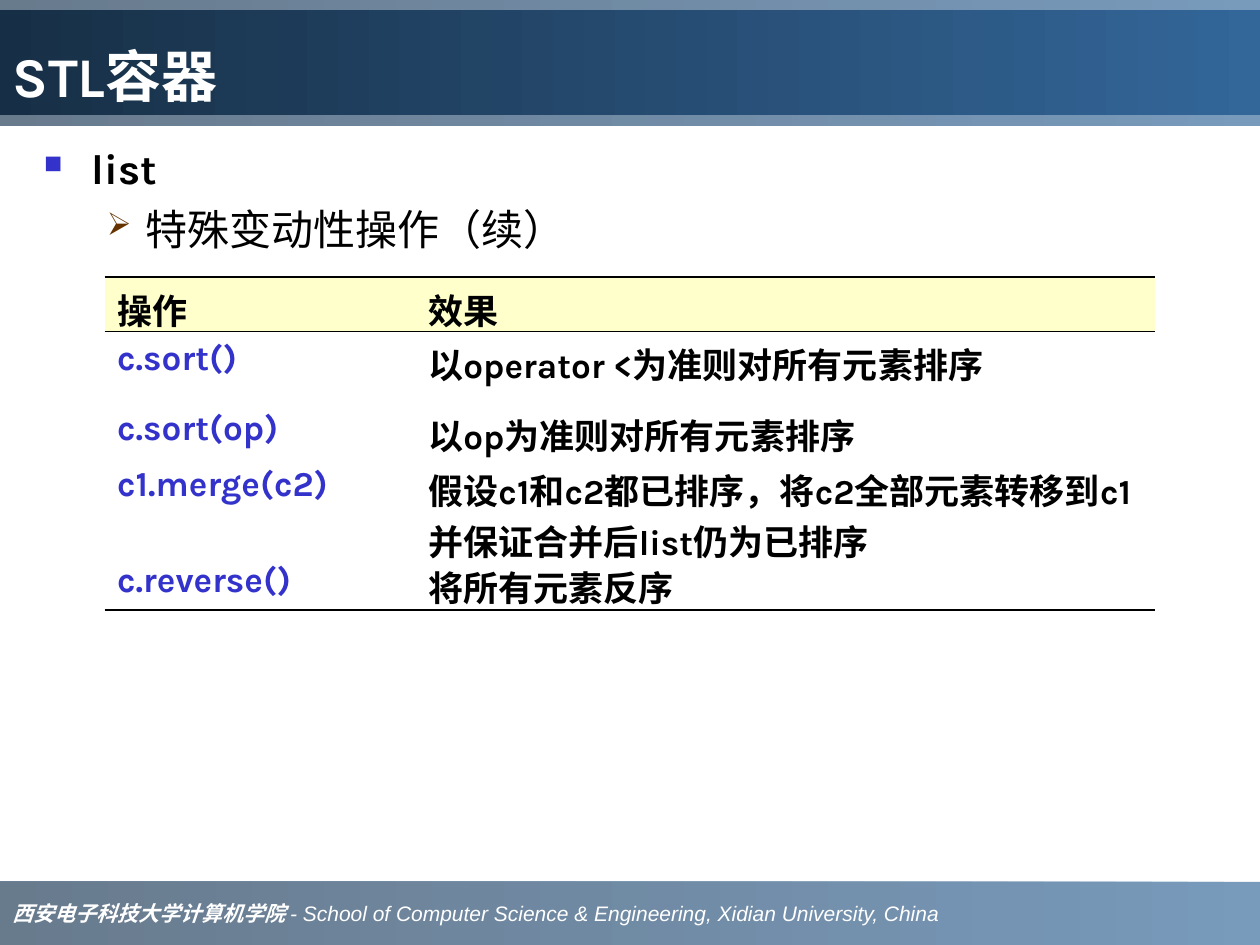
from lxml import etree
from pptx import Presentation, util as u
from pptx.dml.color import RGBColor
from pptx.enum import shapes, text
from pptx.oxml import ns

# Content
TITLE = "STL容器"
FOOTER = [
    ("西安电子科技大学计算机学院 ", "Times New Roman", True),
    ("- School of Computer Science & Engineering, Xidian University, China", "Arial", False),
]
# text, bold, left margin, hanging indent, bullet, bullet colour, bullet size %
OUTLINE = [
    ("list", True, 0.38, 0.38, "■", "blue", 60),
    ("特殊变动性操作（续）", False, 0.81, 0.31, "➢", "brown", 75),
]
ROWS = [
    ("操作", "效果"),
    ("c.sort()", "以operator <为准则对所有元素排序"),
    ("c.sort(op)", "以op为准则对所有元素排序"),
    ("c1.merge(c2)", "假设c1和c2都已排序，将c2全部元素转移到c1并保证合并后list仍为已排序"),
    ("c.reverse()", "将所有元素反序"),
]

# Style
COLORS = {
    "white": "FFFFFF", "black": "000000", "blue": "3333CC", "brown": "663300",
    "cream": "FFFFCC", "sky": "336699", "slate": "1B3753", "navy": "172F46",
}
FONT = "Karla"
WIDTH, HEIGHT = 10, 7.5
COLUMN_WIDTHS = [2.47, 5.87]
ROW_HEIGHTS = [0.35, 0.56, 0.44, 0.67, 0.44]
OUTER_RULE, INNER_RULE = 1.08, 0.75


def rgb(name):
    return RGBColor.from_string(COLORS[name])


def add_xml(parent, tag, **attributes):
    return etree.SubElement(parent, ns.qn(tag), attributes)


def style(span, size, color, bold, font=FONT, italic=False):
    span.font.size = u.Pt(size)
    span.font.name = font
    span.font.bold = bold
    span.font.italic = italic
    span.font.color.rgb = rgb(color)


def add_band(page, top, height, dark, opacity=None):
    """Full-width bar shading from dark on the left to sky on the right."""
    band = page.shapes.add_shape(
        shapes.MSO_SHAPE.RECTANGLE, 0, u.Inches(top), u.Inches(WIDTH), u.Inches(height))
    band.shadow.inherit = False
    band.line.fill.background()
    band.fill.gradient()
    band.fill.gradient_angle = 180
    for stop, color in zip(band.fill.gradient_stops, ("sky", dark)):
        stop.color.rgb = rgb(color)
    if opacity:
        for value in band._element.spPr.iter(ns.qn("a:srgbClr")):
            add_xml(value, "a:alpha", val=str(opacity * 1000))
    return band


def write_line(band, spans, anchor):
    """Left-aligned line of (text, size, font, bold, italic) runs."""
    frame = band.text_frame
    frame.vertical_anchor = anchor
    para = frame.paragraphs[0]
    para.alignment = text.PP_ALIGN.LEFT
    for words, size, font, bold, italic in spans:
        span = para.add_run()
        span.text = words
        style(span, size, "white", bold, font, italic)


def add_bullet(para, margin, hanging, mark, color, percent):
    props = para._p.get_or_add_pPr()
    props.set("marL", str(u.Inches(margin)))
    props.set("indent", str(-u.Inches(hanging)))
    add_xml(add_xml(props, "a:buClr"), "a:srgbClr", val=COLORS[color])
    add_xml(props, "a:buSzPct", val=str(percent * 1000))
    add_xml(props, "a:buChar", char=mark)


def set_borders(cell, top, bottom):
    props = cell._tc.get_or_add_tcPr()
    for side, width in (("L", 0), ("R", 0), ("T", top), ("B", bottom)):
        line = add_xml(props, "a:ln" + side, w=str(u.Pt(width)))
        if width:
            add_xml(add_xml(line, "a:solidFill"), "a:srgbClr", val=COLORS["black"])
        else:
            add_xml(line, "a:noFill")


def add_operations(page):
    grid = page.shapes.add_table(
        len(ROWS), len(COLUMN_WIDTHS), u.Inches(0.83), u.Inches(2.2),
        u.Inches(sum(COLUMN_WIDTHS)), u.Inches(sum(ROW_HEIGHTS))).table
    grid.first_row = grid.horz_banding = False
    for column, width in zip(grid.columns, COLUMN_WIDTHS):
        column.width = u.Inches(width)
    # Rules above and below the table, and under its header
    rules = [OUTER_RULE, INNER_RULE] + [0] * (len(ROWS) - 2) + [OUTER_RULE]
    for r, values in enumerate(ROWS):
        grid.rows[r].height = u.Inches(ROW_HEIGHTS[r])
        for c, words in enumerate(values):
            cell = grid.cell(r, c)
            set_borders(cell, rules[r], rules[r + 1])
            if r == 0:
                cell.fill.solid()
                cell.fill.fore_color.rgb = rgb("cream")
            else:
                cell.fill.background()
            cell.text_frame.text = words
            color = "blue" if r and c == 0 else "black"
            style(cell.text_frame.paragraphs[0].runs[0], 20, color, True)


def main():
    deck = Presentation()
    deck.slide_width, deck.slide_height = u.Inches(WIDTH), u.Inches(HEIGHT)
    page = deck.slides.add_slide(deck.slide_layouts[6])

    # Footer and title bands
    footer = add_band(page, 7, 0.5, "slate", 66)
    write_line(footer, [(words, 12, font, bold, True) for words, font, bold in FOOTER],
               text.MSO_ANCHOR.MIDDLE)
    add_band(page, 0, 1, "slate", 66)
    title = add_band(page, 0.08, 0.83, "navy")
    write_line(title, [(TITLE, 32, FONT, True, False)], text.MSO_ANCHOR.BOTTOM)

    # Outline
    box = page.shapes.add_textbox(u.Inches(0.25), u.Inches(1.08), u.Inches(9.42), u.Inches(5.83))
    frame = box.text_frame
    frame.word_wrap = True
    frame.text = "\n".join(item[0] for item in OUTLINE)
    for level, (para, item) in enumerate(zip(frame.paragraphs, OUTLINE)):
        para.level = level
        add_bullet(para, *item[2:])
        if level:
            para.space_before = u.Pt(6)
        style(para.runs[0], 24, "black", item[1])

    # Table of operations
    add_operations(page)
    deck.save("out.pptx")


if __name__ == "__main__":
    main()
